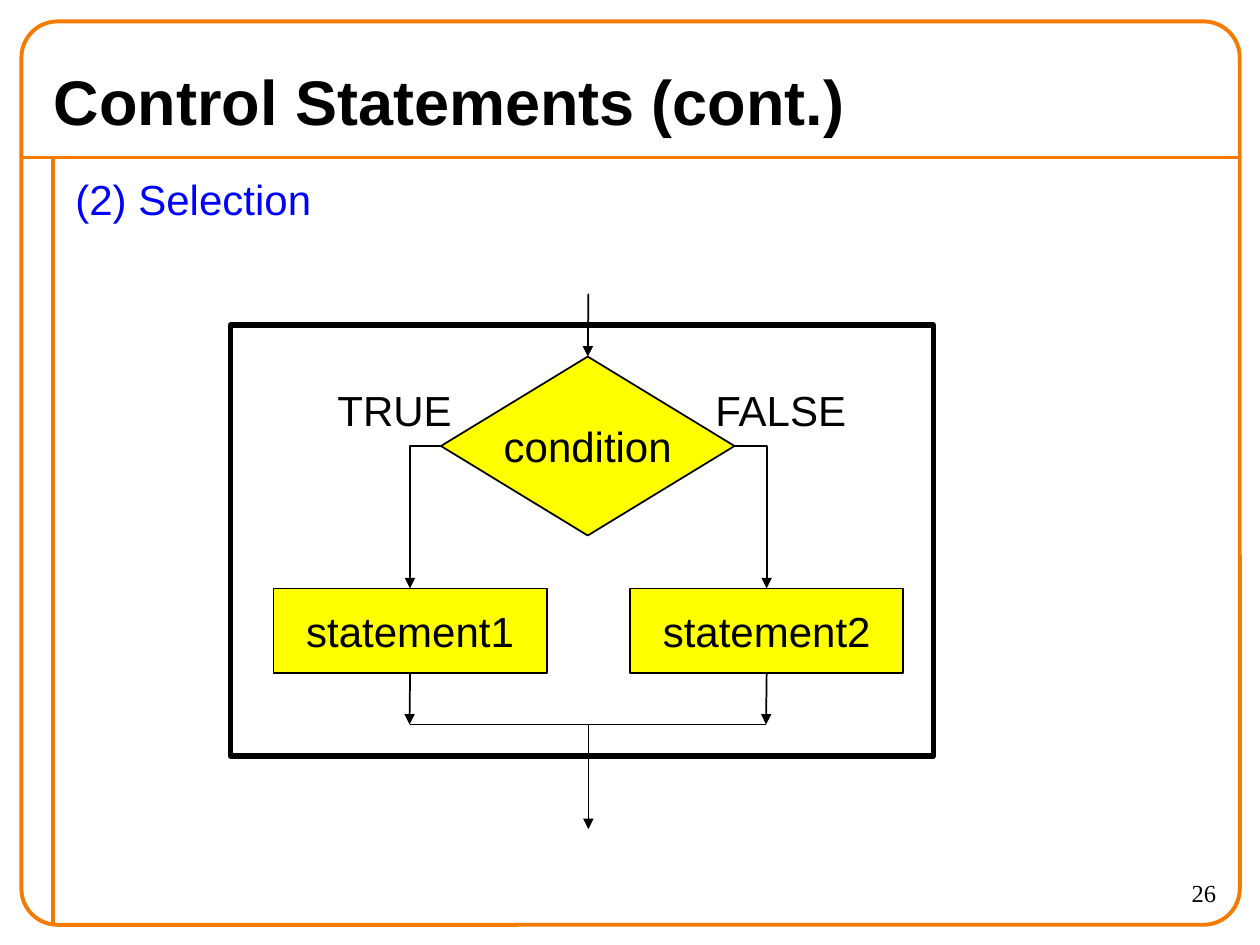
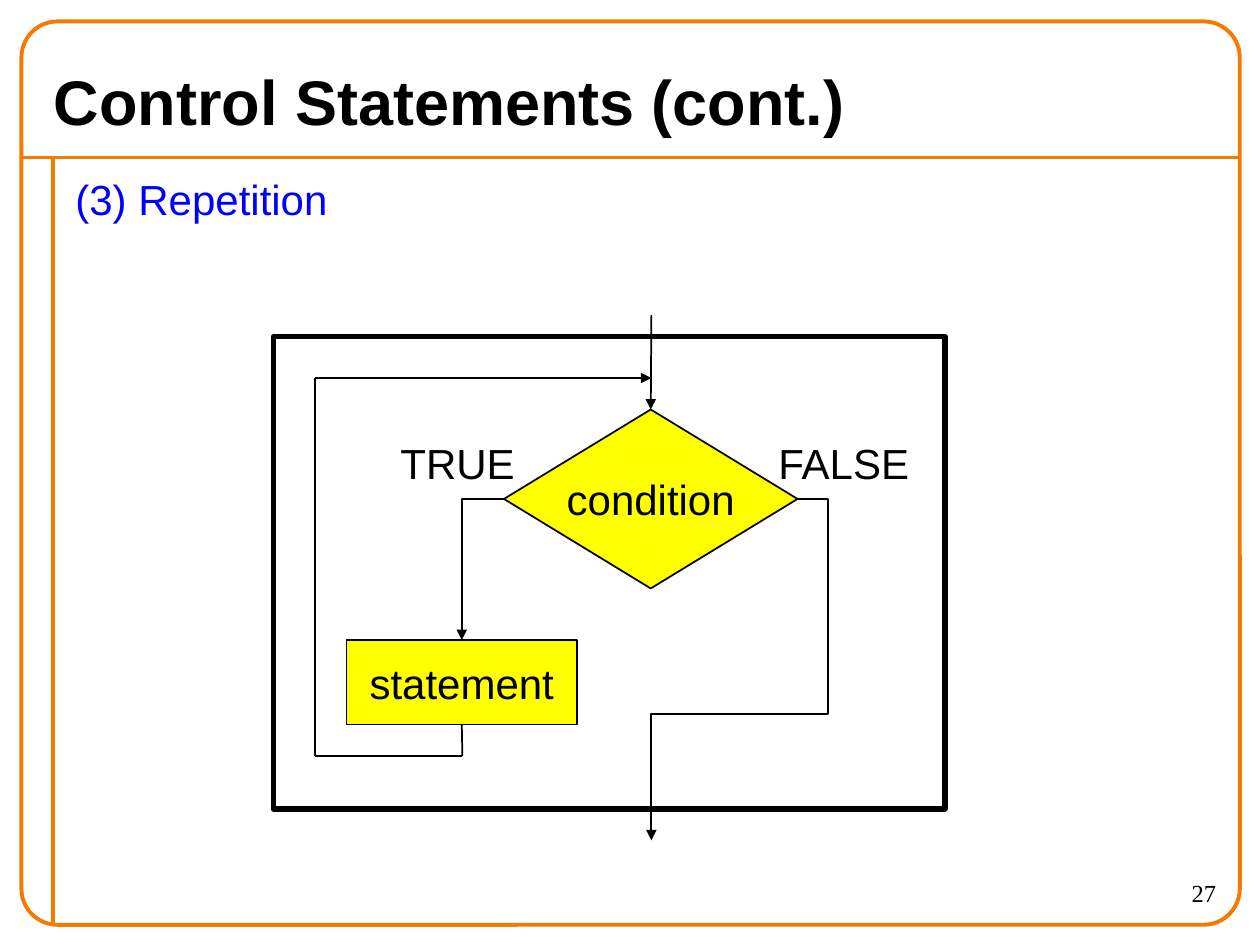
from dataclasses import dataclass
from typing import NamedTuple, Optional, Union

from lxml.etree import SubElement
from pptx import Presentation
from pptx.dml.color import RGBColor
from pptx.enum.shapes import MSO_CONNECTOR, MSO_SHAPE
from pptx.enum.text import MSO_ANCHOR, PP_ALIGN
from pptx.oxml.ns import qn
from pptx.shapes.autoshape import Shape
from pptx.shapes.connector import Connector
from pptx.slide import Slide
from pptx.util import Inches, Pt

ORANGE, BLACK, BLUE, YELLOW = "F47A00", "000000", "0000FF", "FFFF00"
SANS, SERIF = "Arial", "Times New Roman"
TITLE = "Control Statements (cont.)"
TOP, LEFT, BOTTOM, RIGHT = range(4)
DIAMOND_WIDTH, DIAMOND_HEIGHT, STATEMENT_HEIGHT = 2.33, 1.42, 0.67


class Area(NamedTuple):
    """Left, top, width and height in inches."""
    left: float
    top: float
    width: float
    height: float


class Point(NamedTuple):
    """A free line end in inches."""
    x: float
    y: float


class Joint(NamedTuple):
    """A line end joined to one side of a named step."""
    step: str
    side: int


@dataclass(frozen=True)
class TextStyle:
    """Look of a piece of text."""
    size: int = 24
    color: str = BLACK
    font: str = SANS
    bold: bool = False
    align: PP_ALIGN = PP_ALIGN.LEFT
    anchor: MSO_ANCHOR = MSO_ANCHOR.TOP
    wrap: bool = True


@dataclass(frozen=True)
class Statement:
    """A rectangular step of a flowchart."""
    text: str
    left: float
    top: float
    width: float


@dataclass(frozen=True)
class Link:
    """A line between two ends, with an optional elbow preset."""
    begin: Union[Point, Joint]
    end: Union[Point, Joint]
    arrow: bool = True
    elbow: Optional[str] = None
    adjustments: tuple[float, ...] = ()


@dataclass(frozen=True)
class Flowchart:
    """Everything that differs from slide to slide."""
    topic: str
    number: int
    frame: Area
    diamond: Point
    statements: tuple[Statement, ...]
    links: tuple[Link, ...]


TITLE_STYLE = TextStyle(size=36, bold=True, anchor=MSO_ANCHOR.MIDDLE)
TOPIC_STYLE = TextStyle(color=BLUE)
NUMBER_STYLE = TextStyle(size=14, font=SERIF, align=PP_ALIGN.RIGHT)
STEP_STYLE = TextStyle(align=PP_ALIGN.CENTER, anchor=MSO_ANCHOR.MIDDLE, wrap=False)
LABEL_STYLE = TextStyle()

FLOWCHARTS = (
    Flowchart(
        topic="(2) Selection",
        number=26,
        frame=Area(1.83, 2.58, 5.58, 3.42),
        diamond=Point(3.5, 2.83),
        statements=(Statement("statement1", 2.17, 4.67, 2.17),
                    Statement("statement2", 5, 4.67, 2.17)),
        links=(
            Link(Point(4.67, 2.33), Joint("condition", TOP)),
            Link(Joint("condition", LEFT), Joint("statement1", TOP), elbow="bentConnector2"),
            Link(Joint("condition", RIGHT), Joint("statement2", TOP), elbow="bentConnector2"),
            Link(Joint("statement1", BOTTOM), Point(3.25, 5.75)),
            Link(Joint("statement2", BOTTOM), Point(6.08, 5.75)),
            Link(Point(3.25, 5.75), Point(6.08, 5.75), arrow=False),
            Link(Point(4.67, 5.75), Point(4.67, 6.58)),
        ),
    ),
    Flowchart(
        topic="(3) Repetition",
        number=27,
        frame=Area(2.17, 2.67, 5.33, 3.75),
        diamond=Point(4, 3.25),
        statements=(Statement("statement", 2.75, 5.08, 1.83),),
        links=(
            Link(Point(5.17, 2.5), Joint("condition", TOP)),
            Link(Joint("condition", LEFT), Joint("statement", TOP), elbow="bentConnector2"),
            Link(Joint("condition", RIGHT), Point(5.17, 6.67), elbow="bentConnector4",
                 adjustments=(-0.21, 0.63)),
            Link(Joint("statement", BOTTOM), Point(3.67, 6), arrow=False),
            Link(Point(3.67, 6), Point(2.5, 6), arrow=False),
            Link(Point(2.5, 6), Point(2.5, 3), arrow=False),
            Link(Point(2.5, 3), Point(5.17, 3)),
        ),
    ),
)


def rgb(color: str) -> RGBColor:
    """Turn a hex string into a colour."""
    return RGBColor.from_string(color)


def write(box: Shape, text: str, style: TextStyle) -> None:
    """Put styled text into a box."""
    frame = box.text_frame
    frame.text = text
    frame.word_wrap = style.wrap
    frame.vertical_anchor = style.anchor
    para = frame.paragraphs[0]
    para.alignment = style.align
    for span in para.runs:
        span.font.name = style.font
        span.font.size = Pt(style.size)
        span.font.bold = style.bold
        span.font.color.rgb = rgb(style.color)


def add_text(page: Slide, area: Area, text: str, style: TextStyle) -> None:
    """Add a text box."""
    write(page.shapes.add_textbox(*map(Inches, area)), text, style)


def add_box(page: Slide, kind: MSO_SHAPE, area: Area, line: str, weight: float,
            fill: Optional[str] = None) -> Shape:
    """Add an outlined preset shape, filled if a colour is given."""
    box = page.shapes.add_shape(kind, *map(Inches, area))
    box.shadow.inherit = False
    box.line.color.rgb = rgb(line)
    box.line.width = Pt(weight)
    if fill:
        box.fill.solid()
        box.fill.fore_color.rgb = rgb(fill)
    else:
        box.fill.background()
    return box


def add_line(page: Slide, begin: Point, end: Point, color: str, weight: float,
             kind: MSO_CONNECTOR = MSO_CONNECTOR.STRAIGHT) -> Connector:
    """Add a connector without a shadow."""
    line = page.shapes.add_connector(kind, *map(Inches, begin + end))
    line.line.color.rgb = rgb(color)
    line.line.width = Pt(weight)
    SubElement(line._element.spPr, qn("a:effectLst"))
    return line


def set_elbow(line: Connector, preset: str, adjustments: tuple[float, ...]) -> None:
    """Choose the elbow preset of a connector and place its bends."""
    geometry = line._element.spPr.find(qn("a:prstGeom"))
    geometry.set("prst", preset)
    guides = geometry.find(qn("a:avLst"))
    for index, share in enumerate(adjustments, start=1):
        SubElement(guides, qn("a:gd"), name=f"adj{index}", fmla=f"val {round(share * 100000)}")


def add_link(page: Slide, link: Link, steps: dict[str, Shape]) -> None:
    """Draw a flow line and join it to its steps."""
    begin, end = (spot if isinstance(spot, Point) else Point(0, 0)
                  for spot in (link.begin, link.end))
    kind = MSO_CONNECTOR.ELBOW if link.elbow else MSO_CONNECTOR.STRAIGHT
    line = add_line(page, begin, end, BLACK, 1, kind)
    if isinstance(link.begin, Joint):
        line.begin_connect(steps[link.begin.step], link.begin.side)
    if isinstance(link.end, Joint):
        line.end_connect(steps[link.end.step], link.end.side)
    if link.elbow:
        set_elbow(line, link.elbow, link.adjustments)
    if link.arrow:
        SubElement(line.line._get_or_add_ln(), qn("a:tailEnd"), type="triangle")


def add_step(page: Slide, kind: MSO_SHAPE, area: Area, text: str) -> Shape:
    """Add a yellow flowchart step."""
    box = add_box(page, kind, area, BLACK, 1, YELLOW)
    write(box, text, STEP_STYLE)
    return box


def add_page_frame(page: Slide, topic: str, number: int) -> None:
    """Draw the border, rules, title, topic and page number."""
    add_line(page, Point(0.17, 1.25), Point(9.83, 1.25), ORANGE, 2.25)
    add_line(page, Point(0.42, 1.25), Point(0.42, 7.33), ORANGE, 2.25)
    border = add_box(page, MSO_SHAPE.ROUNDED_RECTANGLE, Area(0.17, 0.17, 9.67, 7.17), ORANGE, 2.25)
    border.adjustments[0] = 0.04
    add_text(page, Area(8.75, 6.92, 1, 0.42), str(number), NUMBER_STYLE)
    add_text(page, Area(0.33, 0.42, 9.33, 0.75), TITLE, TITLE_STYLE)
    add_text(page, Area(0.5, 1.33, 9.25, 6), topic, TOPIC_STYLE)


def add_flowchart(page: Slide, chart: Flowchart) -> None:
    """Draw the steps, branch labels, frame and flow lines."""
    left, top = chart.diamond
    steps = {"condition": add_step(page, MSO_SHAPE.DIAMOND,
                                   Area(left, top, DIAMOND_WIDTH, DIAMOND_HEIGHT), "condition")}
    for item in chart.statements:
        area = Area(item.left, item.top, item.width, STATEMENT_HEIGHT)
        steps[item.text] = add_step(page, MSO_SHAPE.RECTANGLE, area, item.text)
    add_text(page, Area(left - 0.92, top + 0.17, 1.17, 0.5), "TRUE", LABEL_STYLE)
    add_text(page, Area(left + 2.08, top + 0.17, 1.33, 0.5), "FALSE", LABEL_STYLE)
    add_box(page, MSO_SHAPE.RECTANGLE, chart.frame, BLACK, 3)
    for link in chart.links:
        add_link(page, link, steps)


def main() -> None:
    """Build and save the deck."""
    deck = Presentation()
    deck.slide_width, deck.slide_height = Inches(10), Inches(7.5)
    for chart in FLOWCHARTS:
        page = deck.slides.add_slide(deck.slide_layouts[6])
        add_page_frame(page, chart.topic, chart.number)
        add_flowchart(page, chart)
    deck.save("out.pptx")


if __name__ == "__main__":
    main()
